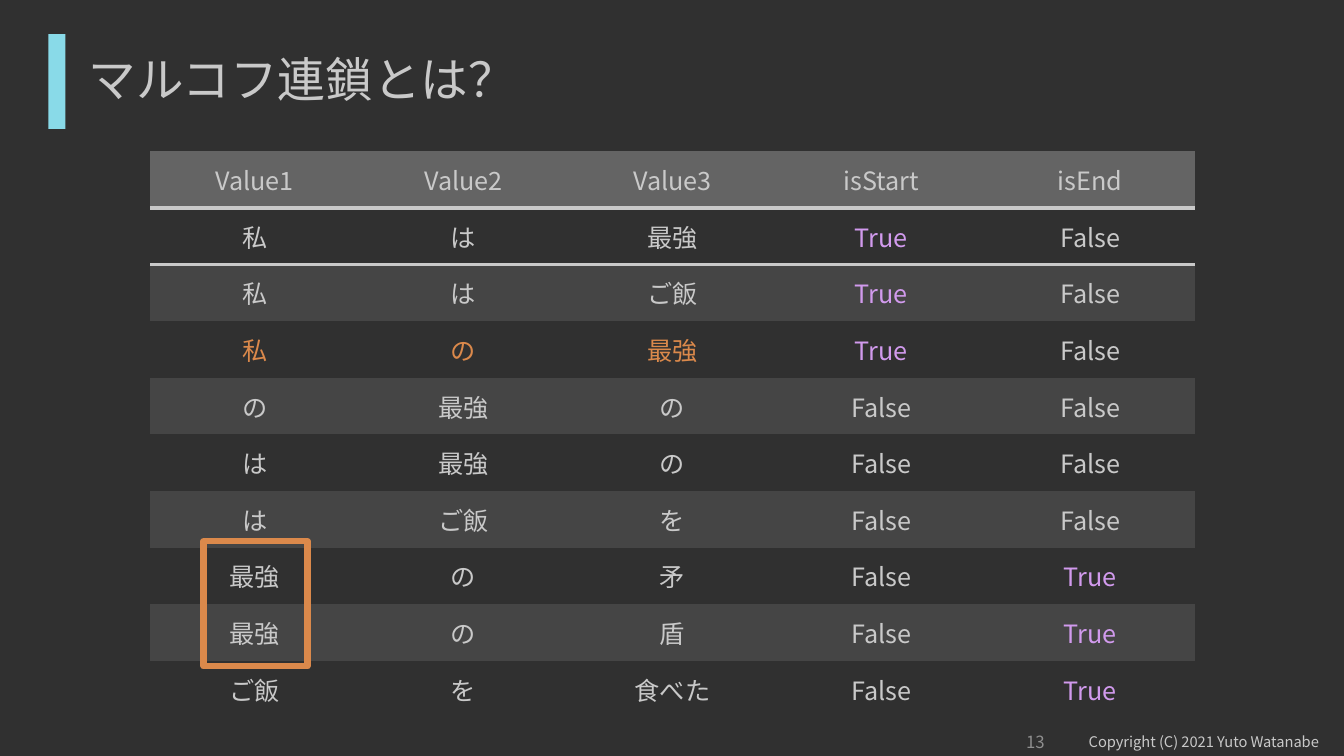
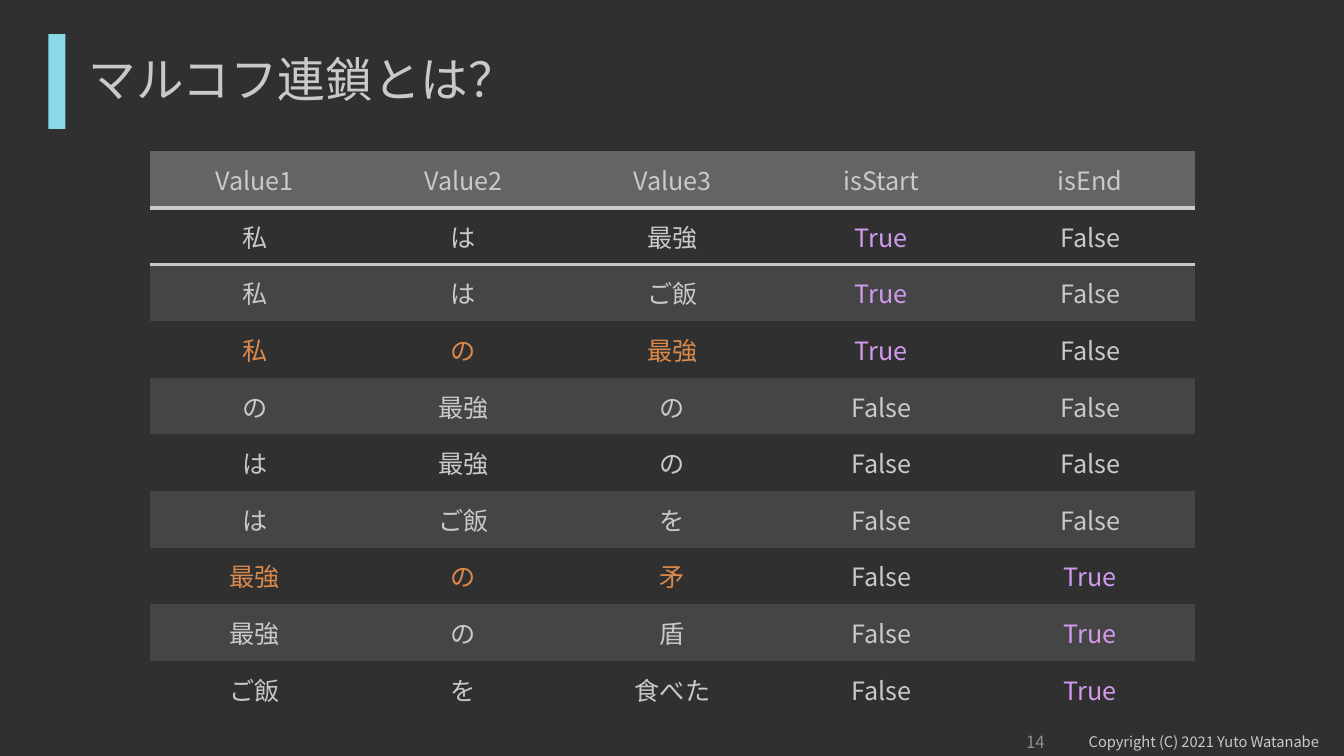
from dataclasses import dataclass

import lxml.etree
import pptx
import pptx.dml.color
import pptx.enum.shapes
import pptx.enum.text
import pptx.oxml.ns
import pptx.util
from pptx.util import Inches

FONT = "Noto Sans CJK JP"
COLORS = {
    "background": "303030",
    "text": "C9C9C9",
    "muted": "8F8F8F",
    "accent": "89DAE8",
    "header": "646464",
    "band": "454545",
    "true": "D19AED",
    "highlight": "DB894B",
}
NO_TABLE_STYLE = "{2D5ABB26-0587-4C30-8999-92F81FD0307C}"
ALIGN = pptx.enum.text.PP_ALIGN
ANCHOR = pptx.enum.text.MSO_ANCHOR

TITLE = "マルコフ連鎖とは？"
COPYRIGHT = "Copyright (C) 2021 Yuto Watanabe"
CHAIN_ROWS = [
    ("Value1", "Value2", "Value3", "isStart", "isEnd"),
    ("私", "は", "最強", "True", "False"),
    ("私", "は", "ご飯", "True", "False"),
    ("私", "の", "最強", "True", "False"),
    ("の", "最強", "の", "False", "False"),
    ("は", "最強", "の", "False", "False"),
    ("は", "ご飯", "を", "False", "False"),
    ("最強", "の", "矛", "False", "True"),
    ("最強", "の", "盾", "False", "True"),
    ("ご飯", "を", "食べた", "False", "True"),
]
VALUE_COLUMNS = 3


@dataclass(frozen=True)
class Box:
    left: float
    top: float
    width: float
    height: float

    def lengths(self) -> tuple:
        return tuple(Inches(n) for n in (self.left, self.top, self.width, self.height))


@dataclass(frozen=True)
class ChainSlide:
    number: int
    highlighted_rows: tuple[int, ...]
    candidate_frame: Box | None = None


TITLE_BOX = Box(0.78, 0.57, 6.91, 0.49)
TITLE_BAR = Box(0.48, 0.34, 0.17, 0.94)
NUMBER_BOX = Box(9.82, 7.22, 0.64, 0.27)
COPYRIGHT_BOX = Box(10.7, 7.22, 2.63, 0.28)
TABLE_BOX = Box(1.49, 1.5, 10.36, 5.62)

SLIDES = [
    ChainSlide(13, (3,), Box(2.02, 5.37, 1.03, 1.24)),
    ChainSlide(14, (3, 7)),
]


def rgb(name: str) -> pptx.dml.color.RGBColor:
    return pptx.dml.color.RGBColor.from_string(COLORS[name])


def write_text(text_frame, text: str, *, size: float, color: str = "text",
               align=ALIGN.LEFT, line_spacing: float | None = None) -> None:
    paragraph = text_frame.paragraphs[0]
    paragraph.alignment = align
    paragraph.line_spacing = line_spacing
    run = paragraph.add_run()
    run.text = text
    run.font.size = pptx.util.Pt(size)
    run.font.color.rgb = rgb(color)
    run.font.name = FONT
    east_asian = lxml.etree.SubElement(
        run._r.get_or_add_rPr(), pptx.oxml.ns.qn("a:ea"))
    east_asian.set("typeface", FONT)


def add_text_box(slide, box: Box, text: str, *, anchor=ANCHOR.TOP, **text_format) -> None:
    text_frame = slide.shapes.add_textbox(*box.lengths()).text_frame
    text_frame.word_wrap = True
    text_frame.vertical_anchor = anchor
    write_text(text_frame, text, **text_format)


def add_rectangle(slide, box: Box, *, fill: str | None = None,
                  line: str | None = None, line_width: float = 0) -> None:
    shape = slide.shapes.add_shape(
        pptx.enum.shapes.MSO_SHAPE.RECTANGLE, *box.lengths())
    shape.shadow.inherit = False
    set_fill(shape.fill, fill)
    set_fill(shape.line.fill, line)
    if line:
        shape.line.width = pptx.util.Pt(line_width)


def set_fill(fill, color: str | None) -> None:
    if color is None:
        fill.background()
    else:
        fill.solid()
        fill.fore_color.rgb = rgb(color)


def add_border(cell, tag: str, color: str, width: float) -> None:
    """Draw one cell edge; tag is a:lnT for the top or a:lnB for the bottom."""
    qn = pptx.oxml.ns.qn
    border = lxml.etree.Element(qn(tag), w=str(pptx.util.Pt(width)))
    fill = lxml.etree.SubElement(border, qn("a:solidFill"))
    lxml.etree.SubElement(fill, qn("a:srgbClr"), val=COLORS[color])
    cell._tc.get_or_add_tcPr().insert(0, border)


def cell_color(row: int, column: int, text: str, highlighted_rows: tuple[int, ...]) -> str:
    if text == "True":
        return "true"
    if row in highlighted_rows and column < VALUE_COLUMNS:
        return "highlight"
    return "text"


def row_fill(row: int) -> str | None:
    if row == 0:
        return "header"
    return "band" if row % 2 == 0 else None


def add_chain_table(slide, highlighted_rows: tuple[int, ...]) -> None:
    table = slide.shapes.add_table(
        len(CHAIN_ROWS), len(CHAIN_ROWS[0]), *TABLE_BOX.lengths()).table
    table._tbl.tblPr.find(pptx.oxml.ns.qn("a:tableStyleId")).text = NO_TABLE_STYLE
    for row, values in enumerate(CHAIN_ROWS):
        for column, text in enumerate(values):
            cell = table.cell(row, column)
            cell.vertical_anchor = ANCHOR.MIDDLE
            set_fill(cell.fill, row_fill(row))
            write_text(cell.text_frame, text, size=18, align=ALIGN.CENTER,
                       color=cell_color(row, column, text, highlighted_rows))
            if row < 2:
                add_border(cell, "a:lnB" if row == 0 else "a:lnT", "text", 3)


def add_title(slide) -> None:
    title = slide.shapes.title
    title.left, title.top, title.width, title.height = TITLE_BOX.lengths()
    title.text_frame.auto_size = pptx.enum.text.MSO_AUTO_SIZE.NONE
    title.text_frame.vertical_anchor = ANCHOR.MIDDLE
    write_text(title.text_frame, TITLE, size=34, line_spacing=0.9)


def add_chain_slide(presentation, content: ChainSlide) -> None:
    slide = presentation.slides.add_slide(presentation.slide_layouts[5])
    add_text_box(slide, COPYRIGHT_BOX, COPYRIGHT, size=10.5)
    add_rectangle(slide, TITLE_BAR, fill="accent")
    add_title(slide)
    add_text_box(slide, NUMBER_BOX, str(content.number), size=12, color="muted",
                 align=ALIGN.RIGHT, anchor=ANCHOR.MIDDLE)
    add_chain_table(slide, content.highlighted_rows)
    if content.candidate_frame:
        add_rectangle(slide, content.candidate_frame, line="highlight", line_width=4.5)


def main() -> None:
    presentation = pptx.Presentation()
    presentation.slide_width = Inches(13.33)
    presentation.slide_height = Inches(7.5)
    set_fill(presentation.slide_master.background.fill, "background")
    for content in SLIDES:
        add_chain_slide(presentation, content)
    presentation.save("out.pptx")


if __name__ == "__main__":
    main()
